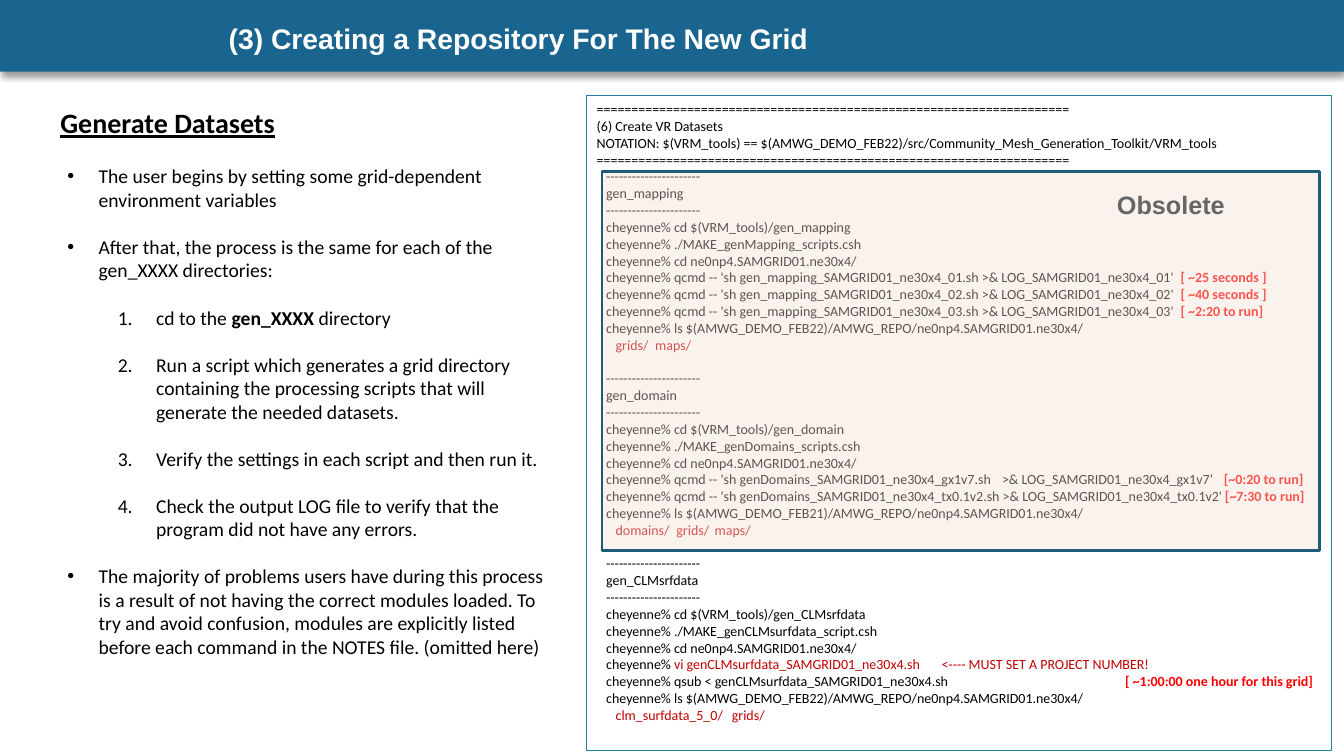
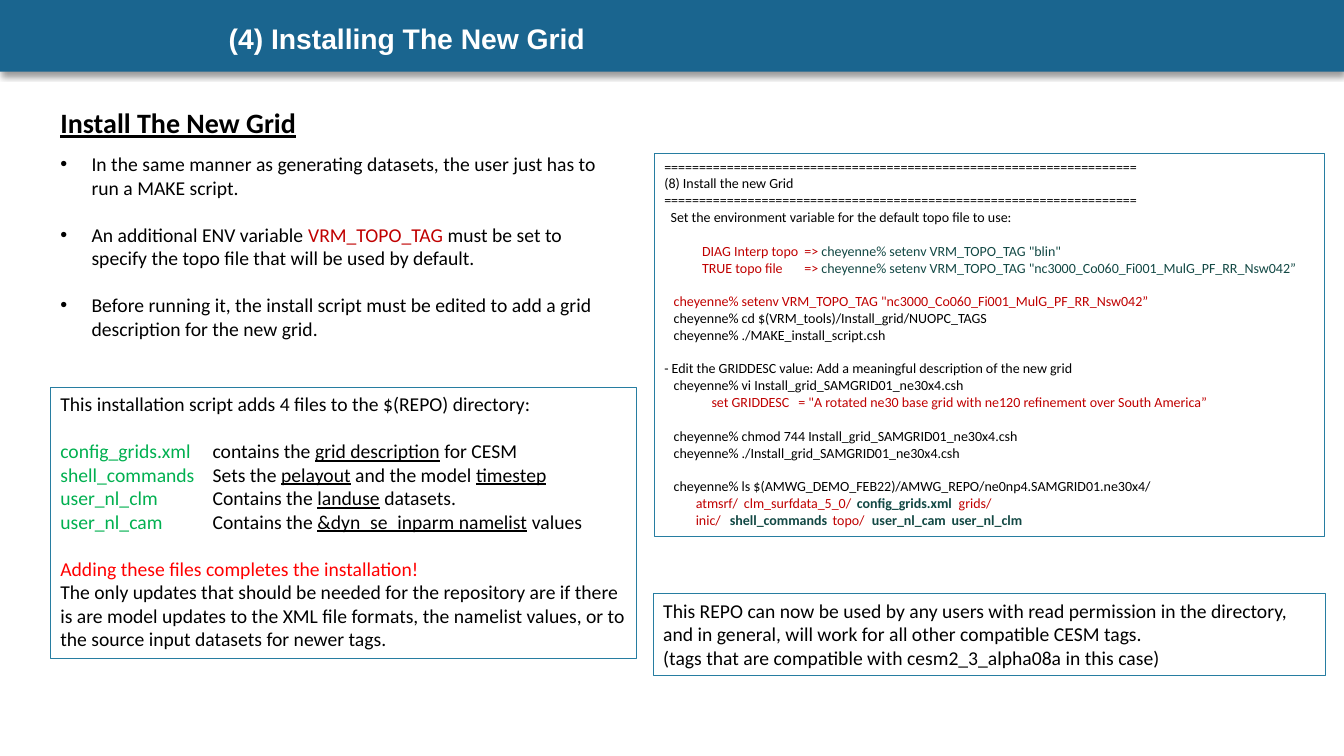
from dataclasses import dataclass

from lxml.etree import SubElement
from pptx import Presentation
from pptx.dml.color import RGBColor
from pptx.enum.shapes import MSO_SHAPE
from pptx.enum.text import MSO_ANCHOR
from pptx.oxml.ns import qn
from pptx.util import Inches, Pt


# Theme
@dataclass(frozen=True)
class Theme:
    heading_font: str = "Arial"
    body_font: str = "Calibri"
    title_size: float = 20.2
    heading_size: float = 20
    stamp_size: float = 18
    body_size: float = 14
    code_size: float = 10
    line_height: float = 1.2
    band: str = "1A658F"
    frame: str = "277DA1"
    wash: str = "F4DED2"
    wash_line: str = "1D5C77"
    white: str = "FFFFFF"
    ink: str = "000000"
    grey: str = "666666"
    dark_red: str = "C00000"
    red: str = "FF0000"
    teal: str = "124844"
    green: str = "00B050"


THEME = Theme()

# Run styles: colour, bold, underline
STYLES = {
    "plain": (THEME.ink, False, False),
    "strong": (THEME.ink, True, False),
    "under": (THEME.ink, False, True),
    "heading": (THEME.ink, True, True),
    "title": (THEME.white, True, False),
    "stamp": (THEME.grey, True, False),
    "output": (THEME.dark_red, False, False),
    "alert": (THEME.red, False, False),
    "timing": (THEME.red, True, False),
    "command": (THEME.teal, False, False),
    "added": (THEME.teal, True, False),
    "file": (THEME.green, False, False),
}


@dataclass(frozen=True)
class Para:
    """Runs are strings or (text, style); gap leaves one line above."""
    runs: tuple
    gap: bool = False
    tabs: tuple = ()
    mark: str = ""


def para(*runs, **options):
    return Para(runs, **options)


def bullet(*runs, gap=True):
    return para(*runs, gap=gap, mark="bullet")


def step(*runs):
    return para(*runs, gap=True, mark="number")


# Content
RULE = "=" * 68
DASHES = "   " + "-" * 22
REPO_LS = "   cheyenne% ls $(AMWG_DEMO_FEB22)/AMWG_REPO/ne0np4.SAMGRID01.ne30x4/"
TOPO_TAG = 'cheyenne% setenv VRM_TOPO_TAG "nc3000_Co060_Fi001_MulG_PF_RR_Nsw042”'


def tool_section(name, script, gap=False):
    """Opening lines that every gen_XXXX section shares."""
    return [
        para(DASHES, gap=gap),
        f"   {name}",
        DASHES,
        f"   cheyenne% cd $(VRM_tools)/{name}",
        f"   cheyenne% ./{script}",
        "   cheyenne% cd ne0np4.SAMGRID01.ne30x4/",
    ]


def mapping_job(number, timing):
    job = f"SAMGRID01_ne30x4_{number}"
    return para(f"   cheyenne% qcmd -- 'sh gen_mapping_{job}.sh >& LOG_{job}'\t",
                (timing, "timing"), tabs=(5.79,))


DATASET_POINTS = [
    bullet("The user begins by setting some grid-dependent environment variables", gap=False),
    bullet("After that, the process is the same for each of the gen_XXXX directories:"),
    step("cd to the ", ("gen_XXXX ", "strong"), "directory"),
    step("Run a script which generates a grid directory containing the processing "
         "scripts that will generate the needed datasets."),
    step("Verify the settings in each script and then run it."),
    step("Check the output LOG file to verify that the program did not have any errors."),
    bullet("The majority of problems users have during this process is a result of not "
           "having the correct modules loaded. To try and avoid confusion, modules are "
           "explicitly listed before each command in the NOTES file. (omitted here)"),
]

DATASET_CODE = [
    RULE,
    "(6) Create VR Datasets",
    "NOTATION: $(VRM_tools) == $(AMWG_DEMO_FEB22)/src/Community_Mesh_Generation_Toolkit/VRM_tools",
    RULE,
    *tool_section("gen_mapping", "MAKE_genMapping_scripts.csh"),
    mapping_job("01", "[ ~25 seconds ]"),
    mapping_job("02", "[ ~40 seconds ]"),
    mapping_job("03", "[ ~2:20 to run]"),
    REPO_LS,
    para(("      grids/\tmaps/", "output"), tabs=(0.58,)),
    *tool_section("gen_domain", "MAKE_genDomains_scripts.csh", gap=True),
    para("   cheyenne% qcmd -- 'sh genDomains_SAMGRID01_ne30x4_gx1v7.sh\t"
         ">& LOG_SAMGRID01_ne30x4_gx1v7’\t", ("[~0:20 to run]", "timing"), tabs=(4.02, 6.22)),
    para("   cheyenne% qcmd -- 'sh genDomains_SAMGRID01_ne30x4_tx0.1v2.sh "
         ">& LOG_SAMGRID01_ne30x4_tx0.1v2' ", ("[~7:30 to run]", "timing")),
    REPO_LS.replace("FEB22", "FEB21"),
    para(("      domains/\tgrids/\tmaps/", "output"), tabs=(0.79, 1.17)),
    *tool_section("gen_CLMsrfdata", "MAKE_genCLMsurfdata_script.csh", gap=True),
    para("   cheyenne% ", ("vi genCLMsurfdata_SAMGRID01_ne30x4.sh\t"
         "<---- MUST SET A PROJECT NUMBER!", "output"), tabs=(3.42,)),
    para("   cheyenne% qsub < genCLMsurfdata_SAMGRID01_ne30x4.sh\t",
         ("[ ~1:00:00 one hour for this grid]", "timing"), tabs=(5.24,)),
    REPO_LS,
    para(("      clm_surfdata_5_0/\tgrids/", "output"), tabs=(1.34,)),
]

INSTALL_POINTS = [
    bullet("In the same manner as generating datasets, the user just has to run a MAKE script.",
           gap=False),
    bullet("An additional ENV variable ", ("VRM_TOPO_TAG ", "output"),
           "must be set to specify the topo file that will be used by default."),
    bullet("Before running it, the install script must be edited to add a grid "
           "description for the new grid."),
]

INSTALL_CODE = [
    RULE,
    "(8) Install the new Grid",
    RULE,
    "  Set the environment variable for the default topo file to use:",
    para(("            DIAG Interp topo\t=> ", "output"),
         ('cheyenne% setenv VRM_TOPO_TAG "blin"', "command"), gap=True, tabs=(1.39,)),
    para(("            TRUE topo file\t=> ", "output"), (TOPO_TAG, "command"), tabs=(1.39,)),
    para(("   " + TOPO_TAG, "output"), gap=True),
    "   cheyenne% cd $(VRM_tools)/Install_grid/NUOPC_TAGS",
    "   cheyenne% ./MAKE_install_script.csh",
    para("- Edit the GRIDDESC value: Add a meaningful description of the new grid", gap=True),
    "   cheyenne% vi Install_grid_SAMGRID01_ne30x4.csh",
    para(("               set GRIDDESC\t= \"A rotated ne30 base grid with ne120 "
          "refinement over South America”", "output"), tabs=(1.33,)),
    para("   cheyenne% chmod 744 Install_grid_SAMGRID01_ne30x4.csh", gap=True),
    "   cheyenne% ./Install_grid_SAMGRID01_ne30x4.csh",
    para(REPO_LS, gap=True),
    para(("          atmsrf/\tclm_surfdata_5_0/\t", "output"), ("config_grids.xml\t", "added"),
         ("grids/", "output"), tabs=(0.79, 1.91, 2.92)),
    para(("          inic/\t", "output"), ("shell_commands\t", "added"), ("topo/\t", "output"),
         ("user_nl_cam\tuser_nl_clm", "added"), tabs=(0.65, 1.67, 2.06, 2.85)),
]


def added_file(name, *purpose, gap=False):
    return para((name + "\t", "file"), *purpose, gap=gap, tabs=(1.51,))


ADDED_FILES = [
    "This installation script adds 4 files to the $(REPO) directory:",
    added_file("config_grids.xml", "contains the ", ("grid description", "under"), " for CESM",
               gap=True),
    added_file("shell_commands", "Sets the ", ("pelayout", "under"), " and the model ",
               ("timestep", "under")),
    added_file("user_nl_clm", "Contains the ", ("landuse", "under"), " datasets."),
    added_file("user_nl_cam", "Contains the ", ("&dyn_se_inparm namelist", "under"), " values"),
    para(("Adding these files completes the installation!", "alert"), gap=True),
    "The only updates that should be needed for the repository are if there is are model "
    "updates to the XML file formats, the namelist values, or to the source input datasets "
    "for newer tags.",
]

REPO_NOTE = [
    "This REPO can now be used by any users with read permission in the directory, and in "
    "general, will work for all other compatible CESM tags.",
    "(tags that are compatible with cesm2_3_alpha08a in this case)",
]


# Drawing helpers
def color(hex_value):
    return RGBColor.from_string(hex_value)


def add_mark(paragraph, mark):
    left, hanging = (0.31, 0.31) if mark == "bullet" else (0.88, 0.38)
    props = paragraph._p.get_or_add_pPr()
    props.set("marL", str(Inches(left)))
    props.set("indent", str(-Inches(hanging)))
    if mark == "bullet":
        SubElement(props, qn("a:buFont"), typeface=THEME.heading_font)
        SubElement(props, qn("a:buChar"), char="•")
    else:
        paragraph.level = 1
        SubElement(props, qn("a:buFont"), typeface="+mj-lt")
        SubElement(props, qn("a:buAutoNum"), type="arabicPeriod")


def add_tabs(paragraph, stops):
    tab_list = SubElement(paragraph._p.get_or_add_pPr(), qn("a:tabLst"))
    for stop in stops:
        SubElement(tab_list, qn("a:tab"), pos=str(Inches(stop)), algn="l")


def write(frame, paras, size, font=THEME.body_font, anchor=MSO_ANCHOR.TOP):
    frame.word_wrap = True
    frame.vertical_anchor = anchor
    for index, item in enumerate(paras):
        item = para(item) if isinstance(item, str) else item
        paragraph = frame.paragraphs[0] if index == 0 else frame.add_paragraph()
        if item.mark:
            add_mark(paragraph, item.mark)
        if item.tabs:
            add_tabs(paragraph, item.tabs)
        if item.gap:
            paragraph.space_before = Pt(size * THEME.line_height)
        for piece in item.runs:
            text, style = (piece, "plain") if isinstance(piece, str) else piece
            run = paragraph.add_run()
            run.text = text
            run.font.name, run.font.size = font, Pt(size)
            ink, run.font.bold, run.font.underline = STYLES[style]
            run.font.color.rgb = color(ink)


def add_text(slide, box, paras, size, **options):
    area = slide.shapes.add_textbox(*map(Inches, box))
    write(area.text_frame, paras, size, **options)


def add_rect(slide, box, fill=None, line=None, width=0.75):
    rect = slide.shapes.add_shape(MSO_SHAPE.RECTANGLE, *map(Inches, box))
    rect.shadow.inherit = False
    if fill:
        rect.fill.solid()
        rect.fill.fore_color.rgb = color(fill)
    else:
        rect.fill.background()
    if line:
        rect.line.color.rgb = color(line)
        rect.line.width = Pt(width)
    else:
        rect.line.fill.background()
    return rect


def add_framed(slide, box, paras, size):
    add_rect(slide, box, line=THEME.frame)
    add_text(slide, box, paras, size)


def add_base(deck, title, heading):
    """Blank slide with the shadowed band, title and underlined heading."""
    slide = deck.slides.add_slide(deck.slide_layouts[6])
    band = add_rect(slide, (0, 0, 13.33, 0.71), fill=THEME.band)
    effects = band._element.spPr.find(qn("a:effectLst"))
    shadow = SubElement(effects, qn("a:outerShdw"), blurRad=str(Pt(4)), dist=str(Pt(3)),
                        dir="5400000", algn="t", rotWithShape="0")
    tint = SubElement(shadow, qn("a:srgbClr"), val=THEME.ink)
    SubElement(tint, qn("a:alpha"), val="40000")
    add_text(slide, (2.17, 0.17, 9, 0.41), [para((title, "title"))], THEME.title_size,
             font=THEME.heading_font, anchor=MSO_ANCHOR.MIDDLE)
    add_text(slide, (0.5, 1, 3.05, 0.44), [para((heading, "heading"))], THEME.heading_size)
    return slide


# Slides
def add_datasets(deck):
    slide = add_base(deck, "(3) Creating a Repository For The New Grid", "Generate Datasets")
    add_text(slide, (0.57, 1.58, 5.05, 5.25), DATASET_POINTS, THEME.body_size)
    add_framed(slide, (5.82, 0.95, 7.39, 6.5), DATASET_CODE, THEME.code_size)
    wash = add_rect(slide, (5.97, 1.7, 7.12, 3.76), THEME.wash, THEME.wash_line, 2)
    wash_fill = wash._element.spPr.find(qn("a:solidFill"))
    SubElement(wash_fill[0], qn("a:alpha"), val="38000")
    add_text(slide, (10.98, 1.83, 1.32, 0.4), [para(("Obsolete", "stamp"))],
             THEME.stamp_size, font=THEME.heading_font)


def add_install(deck):
    slide = add_base(deck, "(4) Installing The New Grid", "Install The New Grid")
    add_text(slide, (0.5, 1.46, 5.62, 1.99), INSTALL_POINTS, THEME.body_size)
    add_framed(slide, (6.49, 1.52, 6.65, 3.8), INSTALL_CODE, THEME.code_size)
    add_framed(slide, (0.5, 3.84, 5.81, 2.69), ADDED_FILES, THEME.body_size)
    add_framed(slide, (6.48, 5.89, 6.67, 0.81), REPO_NOTE, THEME.body_size)


def main():
    deck = Presentation()
    deck.slide_width, deck.slide_height = Inches(13.33), Inches(7.5)
    add_datasets(deck)
    add_install(deck)
    deck.save("out.pptx")


if __name__ == "__main__":
    main()
